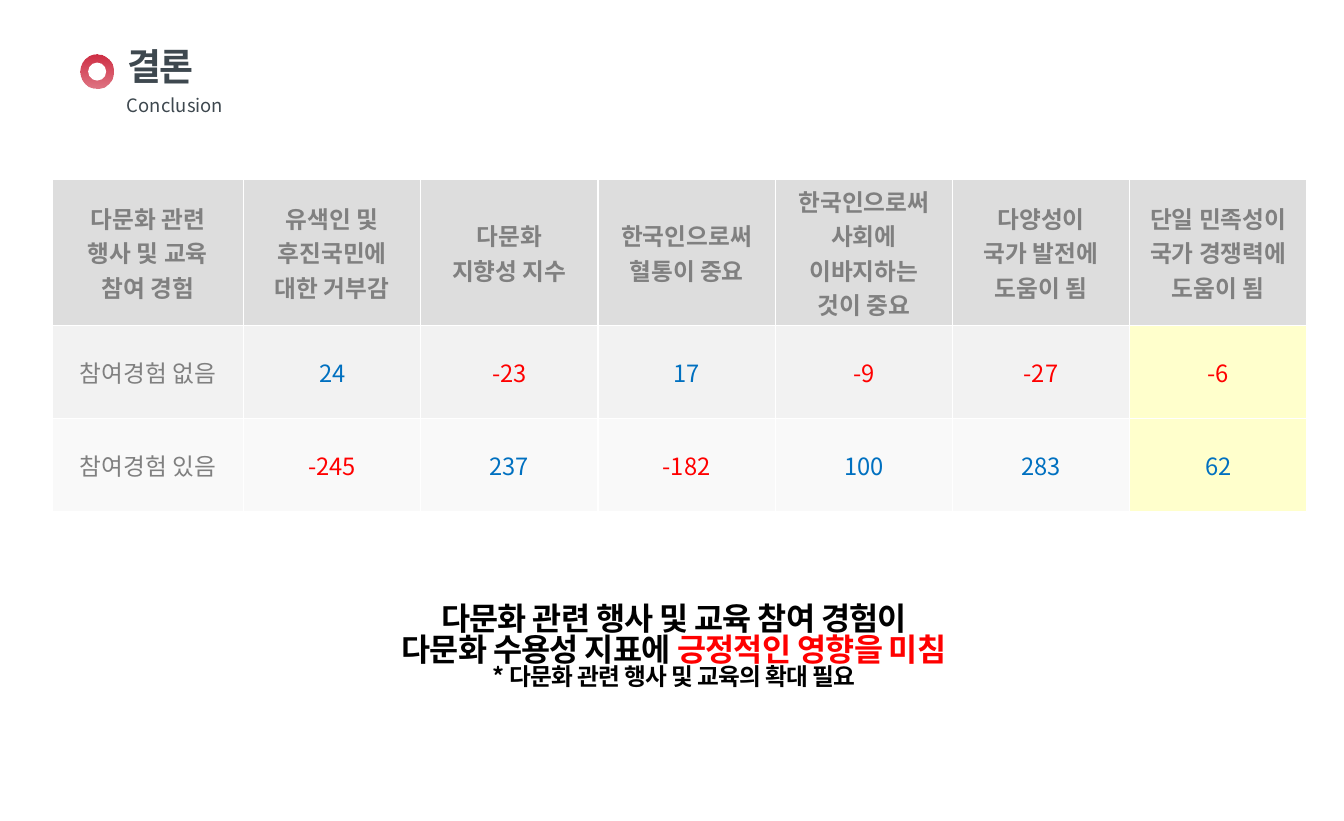
from dataclasses import dataclass
from lxml.etree import SubElement
from pptx import Presentation
from pptx.dml.color import RGBColor
from pptx.enum.shapes import MSO_SHAPE
from pptx.enum.text import MSO_ANCHOR, MSO_AUTO_SIZE, PP_ALIGN
from pptx.oxml.ns import qn
from pptx.util import Inches, Pt


@dataclass
class Theme:
    font: str = "Noto Sans CJK KR"
    ink: str = "3E484F"
    accent: str = "CF2D43"
    white: str = "FFFFFF"
    black: str = "000000"
    gray: str = "808080"
    positive: str = "0070C0"
    negative: str = "FF0000"
    header_fill: str = "DDDDDD"
    row_fills: tuple = ("F2F2F2", "F9F9F9")
    highlight: str = "FFFFCC"
    title: int = 28
    subtitle: int = 14
    message: int = 24
    body: int = 18


theme = Theme()


def write(tf, text, size=theme.body, color=theme.gray, bold=False,
          align=PP_ALIGN.CENTER, spacing=None, track=None, same_line=False):
    for line in text.split("\n"):
        p = tf.paragraphs[-1]
        if p.runs and not same_line:
            p = tf.add_paragraph()
        p.alignment = align
        if spacing:
            p.line_spacing = spacing
        r = p.add_run()
        r.text = line
        r.font.name = theme.font
        r.font.size = Pt(size)
        r.font.bold = bold
        r.font.color.rgb = RGBColor.from_string(color)
        rPr = r.font._element
        SubElement(rPr, qn("a:ea"), typeface=theme.font)
        if track:
            rPr.set("spc", str(track))


def set_frame(sp, left, top, width, height, anchor):
    sp.left, sp.top = Inches(left), Inches(top)
    sp.width, sp.height = Inches(width), Inches(height)
    tf = sp.text_frame
    tf.margin_left = tf.margin_top = tf.margin_right = tf.margin_bottom = 0
    tf.word_wrap = True
    tf.auto_size = MSO_AUTO_SIZE.NONE
    tf.vertical_anchor = anchor
    return tf


prs = Presentation()
prs.slide_width, prs.slide_height = Inches(14.18), Inches(8.66)
s = prs.slides.add_slide(prs.slide_layouts[5])

ring = s.shapes.add_group_shape()
for offset, size in ((0.85, 0.35), (0.93, 0.19)):
    sp = ring.shapes.add_shape(MSO_SHAPE.OVAL, Inches(offset), Inches(offset - 0.27),
                               Inches(size), Inches(size))
    sp.shadow.inherit = False
    sp.line.fill.background()
    sp.fill.solid()
    sp.fill.fore_color.rgb = RGBColor.from_string(theme.white)

fill = ring.shapes[0].fill
fill.gradient()
fill.gradient_angle = 270
for stop in fill.gradient_stops:
    stop.color.rgb = RGBColor.from_string(theme.accent)
end_color = ring.shapes[0]._element.spPr.findall(".//" + qn("a:srgbClr"))[-1]
SubElement(end_color, qn("a:alpha"), val="65000")

tf = set_frame(s.shapes.title, 1.34, 0.51, 11.58, 0.47, MSO_ANCHOR.TOP)
write(tf, "결론", size=theme.title, color=theme.ink, bold=True,
      align=PP_ALIGN.LEFT, spacing=0.9, track=-100)
tf = set_frame(s.shapes.add_textbox(0, 0, 0, 0), 1.34, 1.02, 11.57, 0.24, MSO_ANCHOR.TOP)
write(tf, "Conclusion", size=theme.subtitle, color=theme.ink,
      align=PP_ALIGN.LEFT, spacing=0.9)

headers = [
    "다문화 관련\n행사 및 교육\n참여 경험",
    "유색인 및\n후진국민에\n대한 거부감",
    "다문화\n지향성 지수",
    "한국인으로써\n혈통이 중요",
    "한국인으로써\n사회에\n이바지하는\n것이 중요",
    "다양성이\n국가 발전에\n도움이 됨",
    "단일 민족성이\n국가 경쟁력에\n도움이 됨",
]
rows = [
    headers,
    ["참여경험 없음", 24, -23, 17, -9, -27, -6],
    ["참여경험 있음", -245, 237, -182, 100, 283, 62],
]
table = s.shapes.add_table(len(rows), len(headers), Inches(0.55), Inches(1.89),
                           Inches(13.24), Inches(3.14)).table
table.horz_banding = False
for i, column in enumerate(table.columns):
    column.width = Inches(1.87 if i else 2.02)
for i, row in enumerate(table.rows):
    row.height = Inches(0.98 if i else 1.18)

for i, values in enumerate(rows):
    for j, value in enumerate(values):
        cell = table.cell(i, j)
        cell.vertical_anchor = MSO_ANCHOR.MIDDLE
        background = theme.row_fills[i - 1] if i else theme.header_fill
        if i and j == len(headers) - 1:
            background = theme.highlight
        cell.fill.solid()
        cell.fill.fore_color.rgb = RGBColor.from_string(background)
        color = theme.gray
        if i and j:
            color = theme.positive if value > 0 else theme.negative
        write(cell.text_frame, str(value), color=color, bold=i == 0)

tf = set_frame(s.shapes.add_textbox(0, 0, 0, 0), 2.88, 6.27, 8.46, 1.14, MSO_ANCHOR.MIDDLE)
message = dict(color=theme.black, bold=True, spacing=0.8, track=-50)
write(tf, "다문화 관련 행사 및 교육 참여 경험이\n다문화 수용성 지표에 ",
      size=theme.message, **message)
write(tf, "긍정적인 영향을 미침", size=theme.message, same_line=True,
      **{**message, "color": theme.negative})
write(tf, "* 다문화 관련 행사 및 교육의 확대 필요", **message)

prs.save("out.pptx")
